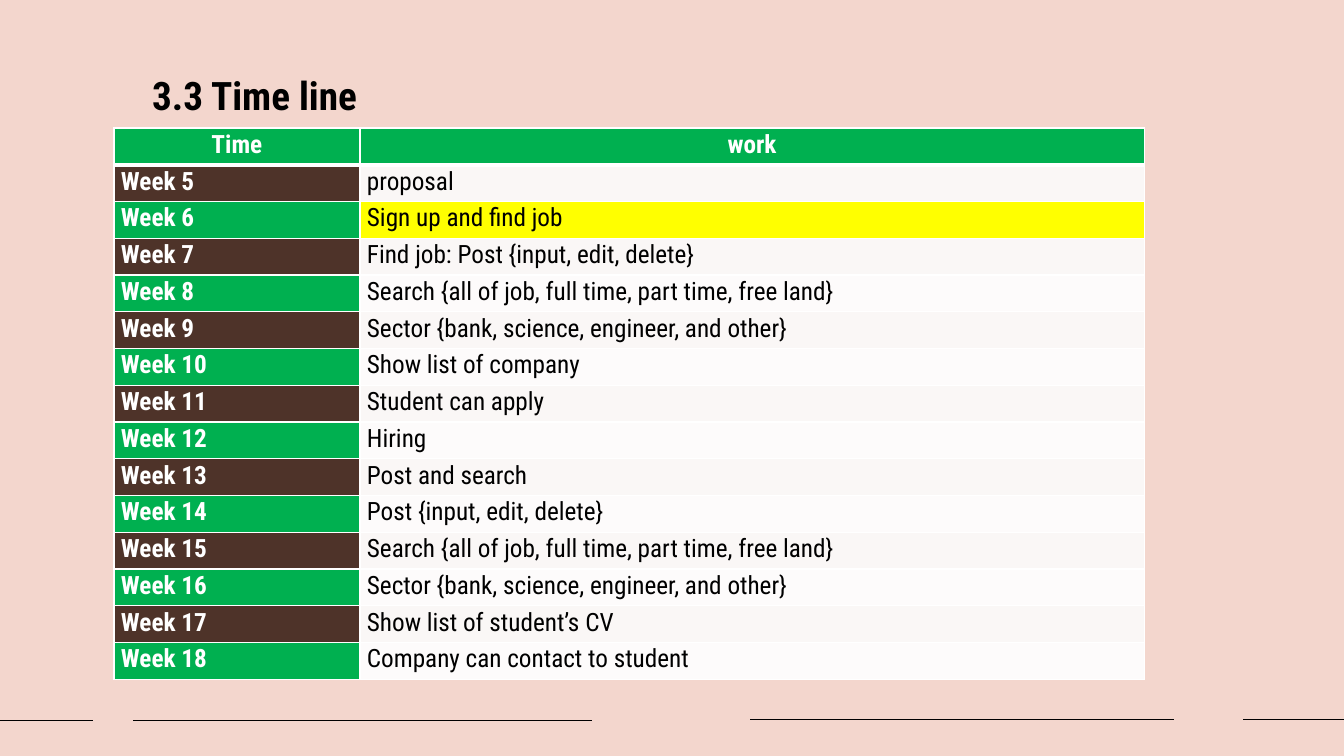
from lxml import etree
from pptx import Presentation
from pptx.dml.color import RGBColor
from pptx.enum import shapes, text
from pptx.oxml import ns
from pptx.util import Inches, Pt

FONT = "Roboto Condensed"
PINK = RGBColor(0xF3, 0xD6, 0xCD)
GREEN = RGBColor(0x00, 0xB0, 0x50)
BROWN = RGBColor(0x4E, 0x33, 0x29)
YELLOW = RGBColor(0xFF, 0xFF, 0x00)
WARM_WHITE = RGBColor(0xFA, 0xF7, 0xF6)
PALE_WHITE = RGBColor(0xFD, 0xFB, 0xFB)
WHITE = RGBColor(0xFF, 0xFF, 0xFF)
BLACK = RGBColor(0x00, 0x00, 0x00)

FIRST_WEEK = 5
HIGHLIGHTED_WEEK = 6
TASKS = [
    "proposal",
    "Sign up and find job",
    "Find job: Post {input, edit, delete}",
    "Search {all of job, full time, part time, free land}",
    "Sector {bank, science, engineer, and other}",
    "Show list of company",
    "Student can apply",
    "Hiring",
    "Post and search",
    "Post {input, edit, delete}",
    "Search {all of job, full time, part time, free land}",
    "Sector {bank, science, engineer, and other}",
    "Show list of student’s CV",
    "Company can contact to student",
]
FOOTER_LINES = [(0, 0.92, 7.15), (1.32, 5.87, 7.15), (7.44, 11.64, 7.14), (12.33, 13.33, 7.14)]


def add_span(para, words, size, color, bold):
    """Add one formatted run to a paragraph."""
    span = para.add_run()
    span.text = words
    span.font.name = FONT
    span.font.size = Pt(size)
    span.font.bold = bold
    span.font.color.rgb = color


def add_footer_line(page, start, end, top):
    """Draw a thin horizontal black line."""
    line = page.shapes.add_connector(
        shapes.MSO_CONNECTOR.STRAIGHT, Inches(start), Inches(top), Inches(end), Inches(top)
    )
    line.line.color.rgb = BLACK
    line.line.width = Pt(1)
    etree.SubElement(line._element.spPr, ns.qn("a:effectLst"))


def add_title(page, words):
    """Add the bold slide title."""
    box = page.shapes.add_textbox(Inches(1.35), Inches(0.66), Inches(6.67), Inches(0.57))
    box.text_frame.word_wrap = True
    box.text_frame.margin_left = Inches(0.16)
    add_span(box.text_frame.paragraphs[0], words, 28, BLACK, True)


def set_borders(cell, bottom_width):
    """Give a cell white borders, placed ahead of its fill."""
    properties = cell._tc.get_or_add_tcPr()
    widths = {"lnL": 1, "lnR": 1, "lnT": 1, "lnB": bottom_width}
    for position, (side, width) in enumerate(widths.items()):
        border = etree.Element(ns.qn("a:" + side), w=str(Pt(width)))
        fill = etree.SubElement(border, ns.qn("a:solidFill"))
        etree.SubElement(fill, ns.qn("a:srgbClr"), val=str(WHITE))
        properties.insert(position, border)


def fill_cell(cell, words, fill, color, bold, header=False):
    """Write and format one table cell."""
    cell.fill.solid()
    cell.fill.fore_color.rgb = fill
    cell.margin_left = cell.margin_right = Inches(0.07)
    cell.margin_top = cell.margin_bottom = 0
    para = cell.text_frame.paragraphs[0]
    para.line_spacing = 1.07
    para.alignment = text.PP_ALIGN.CENTER if header else text.PP_ALIGN.LEFT
    add_span(para, words, 18, color, bold)
    set_borders(cell, 3 if header else 1)


def add_timeline(page):
    """Add the table of weeks and their work."""
    table = page.shapes.add_table(
        len(TASKS) + 1, 2, Inches(1.13), Inches(1.27), Inches(10.22), Inches(5.47)
    ).table
    for column, width in zip(table.columns, (2.44, 7.78)):
        column.width = Inches(width)
    for column, heading in enumerate(("Time", "work")):
        fill_cell(table.cell(0, column), heading, GREEN, WHITE, True, header=True)
    for row, task in enumerate(TASKS, start=1):
        week = FIRST_WEEK + row - 1
        week_fill, task_fill = (BROWN, WARM_WHITE) if row % 2 else (GREEN, PALE_WHITE)
        if week == HIGHLIGHTED_WEEK:
            task_fill = YELLOW
        fill_cell(table.cell(row, 0), f"Week {week}", week_fill, WHITE, True)
        fill_cell(table.cell(row, 1), task, task_fill, BLACK, False)


def main():
    """Build the timeline slide."""
    deck = Presentation()
    deck.slide_width, deck.slide_height = Inches(13.33), Inches(7.5)
    page = deck.slides.add_slide(deck.slide_layouts[6])
    page.background.fill.solid()
    page.background.fill.fore_color.rgb = PINK
    for start, end, top in FOOTER_LINES:
        add_footer_line(page, start, end, top)
    add_timeline(page)
    add_title(page, "3.3 Time line")
    deck.save("out.pptx")


if __name__ == "__main__":
    main()
